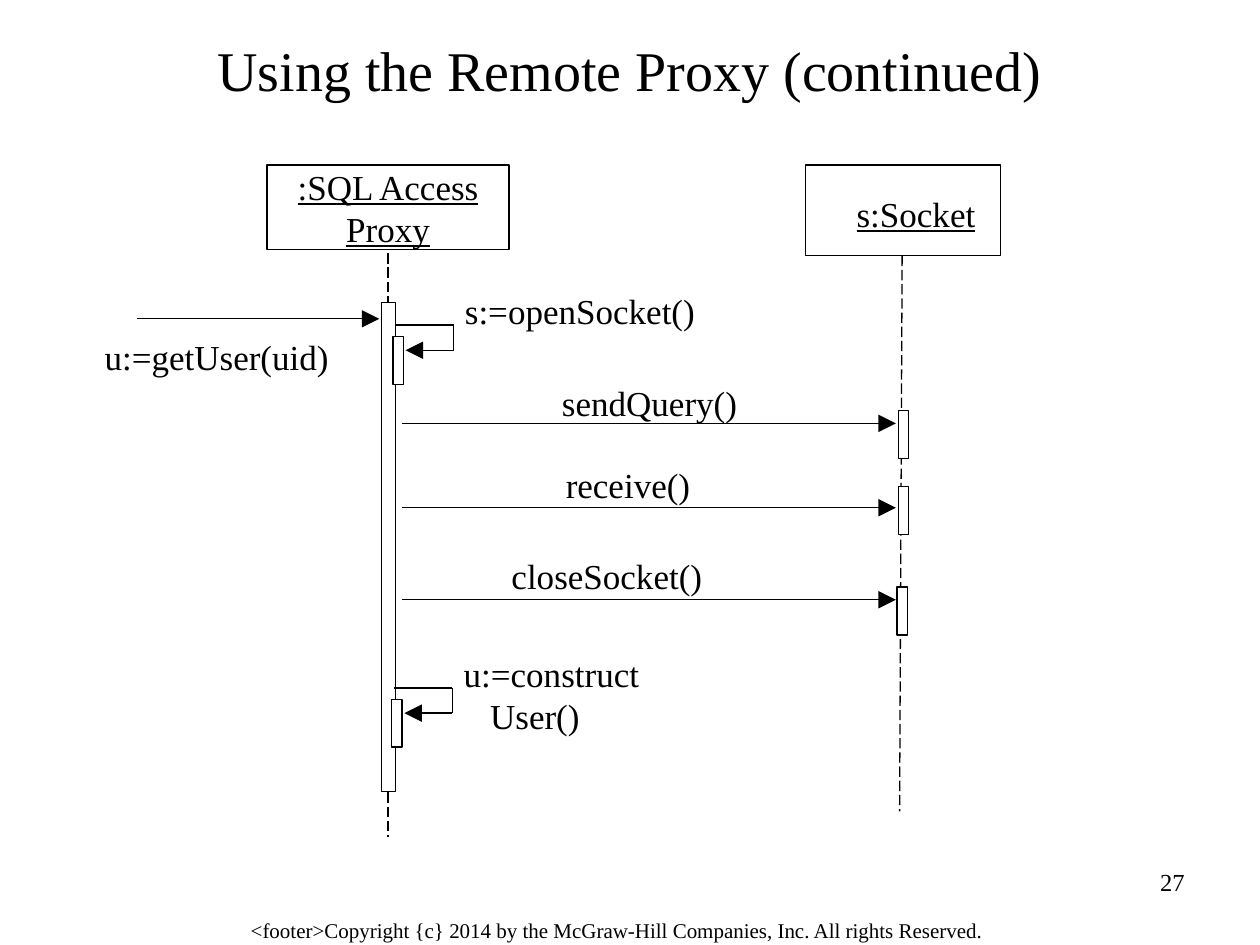
from pptx import Presentation
from pptx.dml.color import RGBColor
from pptx.enum.dml import MSO_LINE
from pptx.enum.shapes import MSO_CONNECTOR, MSO_SHAPE
from pptx.enum.text import MSO_ANCHOR, PP_ALIGN
from pptx.oxml.ns import qn
from pptx.oxml.xmlchemy import OxmlElement
from pptx.util import Inches, Pt

LEFT, CENTER, RIGHT = PP_ALIGN.LEFT, PP_ALIGN.CENTER, PP_ALIGN.RIGHT
TOP, MIDDLE = MSO_ANCHOR.TOP, MSO_ANCHOR.MIDDLE
RECTANGLE = MSO_SHAPE.RECTANGLE
STRAIGHT = MSO_CONNECTOR.STRAIGHT
LONG_DASH = MSO_LINE.LONG_DASH

FONT = "Times New Roman"
COLORS = {"ink": "000000", "paper": "FFFFFF"}
LINE_WIDTH = 0.75
ARROWHEAD = {"type": "triangle", "w": "lg", "len": "lg"}

# Content; positions are in inches
TITLE = "Using the Remote Proxy (continued)"
FOOTER = "<footer>Copyright {c} 2014 by the McGraw-Hill Companies, Inc. All rights Reserved."
PAGE_NUMBER = "27"

# name, box, left inset, top inset, anchor
PARTICIPANTS = [
    (":SQL Access Proxy", (2.12, 1.31, 1.92, 0.67), 0, 0, TOP),
    ("s:Socket", (6.39, 1.31, 1.55, 0.72), 0.21, 0.05, MIDDLE),
]
LIFELINES = [((3.08, 2.01), (3.08, 6.64)), ((7.16, 2.03), (7.14, 6.44))]
PROXY_BAR = (3.03, 2.4, 0.11, 3.88)
# label lines, label box, arrow start, arrow end
MESSAGES = [
    (["u:=getUser(uid)"], (0.83, 2.66, 1.85, 0.33), (1.09, 2.53), (3.01, 2.53)),
    (["sendQuery()"], (4.46, 3.03, 1.45, 0.33), (3.19, 3.36), (7.11, 3.36)),
    (["receive()"], (4.49, 3.68, 1.05, 0.33), (3.19, 4.03), (7.11, 4.03)),
    (["closeSocket()"], (4.06, 4.4, 1.6, 0.33), (3.19, 4.76), (7.11, 4.76)),
]
SOCKET_BARS = [(7.13, 3.26), (7.13, 3.86), (7.12, 4.66)]
# label lines, label box, start of the loop
SELF_CALLS = [
    (["s:=openSocket()"], (3.69, 2.3, 1.9, 0.33), (3.14, 2.58)),
    (["u:=construct", "User()"], (3.68, 5.18, 1.45, 0.67), (3.13, 5.46)),
]
CALL_BAR_SIZE = (0.08, 0.38)
CONTINUATION_INDENT = 0.21


def color(name):
    return RGBColor.from_string(COLORS[name])


def write(frame, lines, size, align=LEFT, anchor=TOP, insets=(0, 0, 0, 0),
          underline=False):
    """Fill a text frame; lines after the first are indented."""
    sides = ("margin_left", "margin_top", "margin_right", "margin_bottom")
    settings = {side: Inches(inset) for side, inset in zip(sides, insets)}
    settings.update(word_wrap=True, vertical_anchor=anchor)
    for attribute, value in settings.items():
        setattr(frame, attribute, value)
    font_format = {"name": FONT, "size": Pt(size), "underline": underline}
    for index, line in enumerate(lines):
        paragraph = frame.paragraphs[0] if index == 0 else frame.add_paragraph()
        paragraph.alignment = align
        if index:
            properties = paragraph._p.get_or_add_pPr()
            properties.set("marL", str(Inches(CONTINUATION_INDENT)))
            properties.set("indent", "0")
        run = paragraph.add_run()
        run.text = line
        for attribute, value in font_format.items():
            setattr(run.font, attribute, value)
        run.font.color.rgb = color("ink")


def add_text(slide, lines, box, size, **options):
    textbox = slide.shapes.add_textbox(*map(Inches, box))
    write(textbox.text_frame, lines, size, **options)


def add_box(slide, box, filled=True):
    shape = slide.shapes.add_shape(RECTANGLE, *map(Inches, box))
    shape.shadow.inherit = False
    if filled:
        shape.fill.solid()
        shape.fill.fore_color.rgb = color("paper")
    else:
        shape.fill.background()
    shape.line.color.rgb = color("ink")
    shape.line.width = Pt(LINE_WIDTH)
    return shape


def add_line(slide, start, end, dashed=False, arrow=False):
    connector = slide.shapes.add_connector(STRAIGHT, *map(Inches, (*start, *end)))
    connector.line.color.rgb = color("ink")
    connector.line.width = Pt(LINE_WIDTH)
    if dashed:
        connector.line.dash_style = LONG_DASH
    properties = connector._element.spPr
    if arrow:
        head = OxmlElement("a:tailEnd")
        for attribute, value in ARROWHEAD.items():
            head.set(attribute, value)
        properties.find(qn("a:ln")).append(head)
    properties.append(OxmlElement("a:effectLst"))


def add_self_call(slide, x, y):
    """Draw a loop that leaves the bar at (x, y) and returns to a nested bar."""
    add_box(slide, (x - 0.02, y + 0.09, *CALL_BAR_SIZE))
    turn = x + 0.46
    add_line(slide, (x, y), (turn, y))
    add_line(slide, (turn, y), (turn, y + 0.2))
    add_line(slide, (turn, y + 0.2), (x + 0.08, y + 0.2), arrow=True)


def main():
    presentation = Presentation()
    presentation.slide_width, presentation.slide_height = Inches(10), Inches(7.5)
    slide = presentation.slides.add_slide(presentation.slide_layouts[5])

    title = slide.shapes.title
    title.left, title.top, title.width, title.height = map(Inches, (0.5, 0.17, 9, 0.75))
    write(title.text_frame, [TITLE], 32, align=CENTER, anchor=MIDDLE,
          insets=(0.1, 0.05, 0.1, 0.05))

    for name, box, left_inset, top_inset, anchor in PARTICIPANTS:
        participant = add_box(slide, box, filled=False)
        write(participant.text_frame, [name], 20, align=CENTER, anchor=anchor,
              insets=(left_inset, top_inset, 0, 0), underline=True)
    for start, end in LIFELINES:
        add_line(slide, start, end, dashed=True)
    add_box(slide, PROXY_BAR)
    for corner in SOCKET_BARS:
        add_box(slide, (*corner, *CALL_BAR_SIZE))

    for label, box, start, end in MESSAGES:
        add_line(slide, start, end, arrow=True)
        add_text(slide, label, box, 20)
    for label, box, start in SELF_CALLS:
        add_self_call(slide, *start)
        add_text(slide, label, box, 20)

    add_text(slide, [FOOTER], (1.88, 7.22, 6.19, 0.31), 12,
             insets=(0.11, 0.06, 0.11, 0.06))
    add_text(slide, [PAGE_NUMBER], (7.17, 6.83, 2.33, 0.52), 14, align=RIGHT,
             insets=(0.1, 0.05, 0.1, 0.05))
    presentation.save("out.pptx")


if __name__ == "__main__":
    main()
